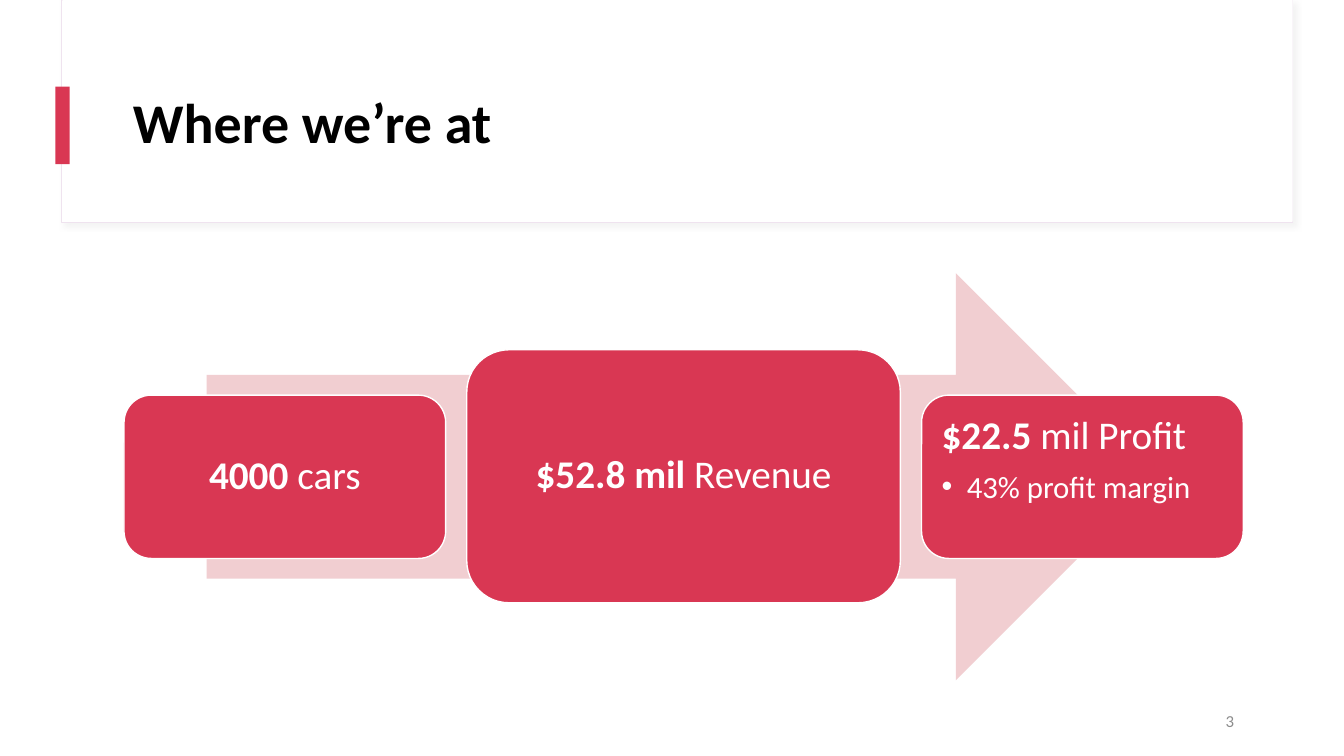
"""Builds the "Where we're at" slide: cars, revenue and profit along an arrow."""
from lxml import etree
from pptx import Presentation
from pptx.dml.color import RGBColor
from pptx.enum import shapes, text
from pptx.oxml import ns
from pptx.util import Inches, Pt

WHITE = RGBColor(0xFF, 0xFF, 0xFF)
BLACK = RGBColor(0x00, 0x00, 0x00)
CRIMSON = RGBColor(0xD9, 0x37, 0x53)
BLUSH = RGBColor(0xF1, 0xCE, 0xD1)
LILAC = RGBColor(0xEF, 0xE3, 0xEF)
GREY = RGBColor(0x8C, 0x8C, 0x8C)
KIND = shapes.MSO_SHAPE

deck = Presentation()
deck.slide_width, deck.slide_height = Inches(13.33), Inches(7.5)
slide = deck.slides.add_slide(deck.slide_layouts[6])


def add_part(kind, box, fill, line=None, weight=1):
    part = slide.shapes.add_shape(kind, *map(Inches, box))
    part.shadow.inherit = False
    part.fill.solid()
    part.fill.fore_color.rgb = fill
    if line is None:
        part.line.fill.background()
    else:
        part.line.color.rgb = line
        part.line.width = Pt(weight)
    return part


def write(paragraph, wording, size=28, bold=False, color=WHITE,
          align=text.PP_ALIGN.LEFT, spacing=0.9, after=0):
    paragraph.alignment = align
    paragraph.line_spacing = spacing
    paragraph.space_after = Pt(after)
    run = paragraph.add_run()
    run.text = wording
    run.font.name = "Calibri"
    run.font.size = Pt(size)
    run.font.bold = bold
    run.font.color.rgb = color


header = add_part(KIND.RECTANGLE, (0.61, 0, 12.21, 2.21), WHITE, LILAC, 0.75)
effects = header._element.spPr.find(ns.qn("a:effectLst"))
shadow = etree.SubElement(effects, ns.qn("a:outerShdw"), blurRad=str(Pt(4)),
                          dist=str(Pt(3)), dir=str(45 * 60000))
tint = etree.SubElement(shadow, ns.qn("a:srgbClr"), val="D9D9D9")
etree.SubElement(tint, ns.qn("a:alpha"), val="30000")
add_part(KIND.RECTANGLE, (0.62, 0, 12.2, 2.2), WHITE)
add_part(KIND.RECTANGLE, (0.55, 0.86, 0.14, 0.77), CRIMSON)

captions = [
    ((1.22, 0.6, 11.12, 1.29), "Where we’re at",
     dict(size=40, bold=True, color=BLACK)),
    ((9.34, 6.95, 3, 0.4), "3",
     dict(size=12, color=GREY, align=text.PP_ALIGN.RIGHT, spacing=1)),
]
for box, wording, style in captions:
    caption = slide.shapes.add_textbox(*map(Inches, box)).text_frame
    caption.word_wrap = True
    caption.vertical_anchor = text.MSO_ANCHOR.MIDDLE
    write(caption.paragraphs[0], wording, **style)

add_part(KIND.RIGHT_ARROW, (2.05, 2.71, 9.45, 4.04), BLUSH)

milestones = [
    ((1.23, 3.92, 3.19, 1.62), "4000", " cars", None),
    ((4.63, 3.47, 4.3, 2.51), "$52.8 mil ", "Revenue", None),
    ((9.14, 3.92, 3.19, 1.62), "$22.5 ", "mil Profit", "43% profit margin"),
]
for box, figure, label, detail in milestones:
    frame = add_part(KIND.ROUNDED_RECTANGLE, box, CRIMSON, WHITE).text_frame
    frame.word_wrap = True
    frame.margin_left = frame.margin_right = Inches(0.12)
    frame.margin_top = frame.margin_bottom = Inches(0.12)
    frame.vertical_anchor = text.MSO_ANCHOR.TOP if detail else text.MSO_ANCHOR.MIDDLE
    align = text.PP_ALIGN.LEFT if detail else text.PP_ALIGN.CENTER
    headline = frame.paragraphs[0]
    write(headline, figure, bold=True, align=align, after=10)
    write(headline, label, align=align, after=10)
    if detail:
        point = frame.add_paragraph()
        point.level = 1
        layout = point._p.get_or_add_pPr()
        layout.set("marL", str(Inches(0.25)))
        layout.set("indent", str(Inches(-0.25)))
        etree.SubElement(layout, ns.qn("a:buFont"), typeface="Arial")
        etree.SubElement(layout, ns.qn("a:buChar"), char="•")
        write(point, detail, size=22, after=3)

deck.save("out.pptx")
